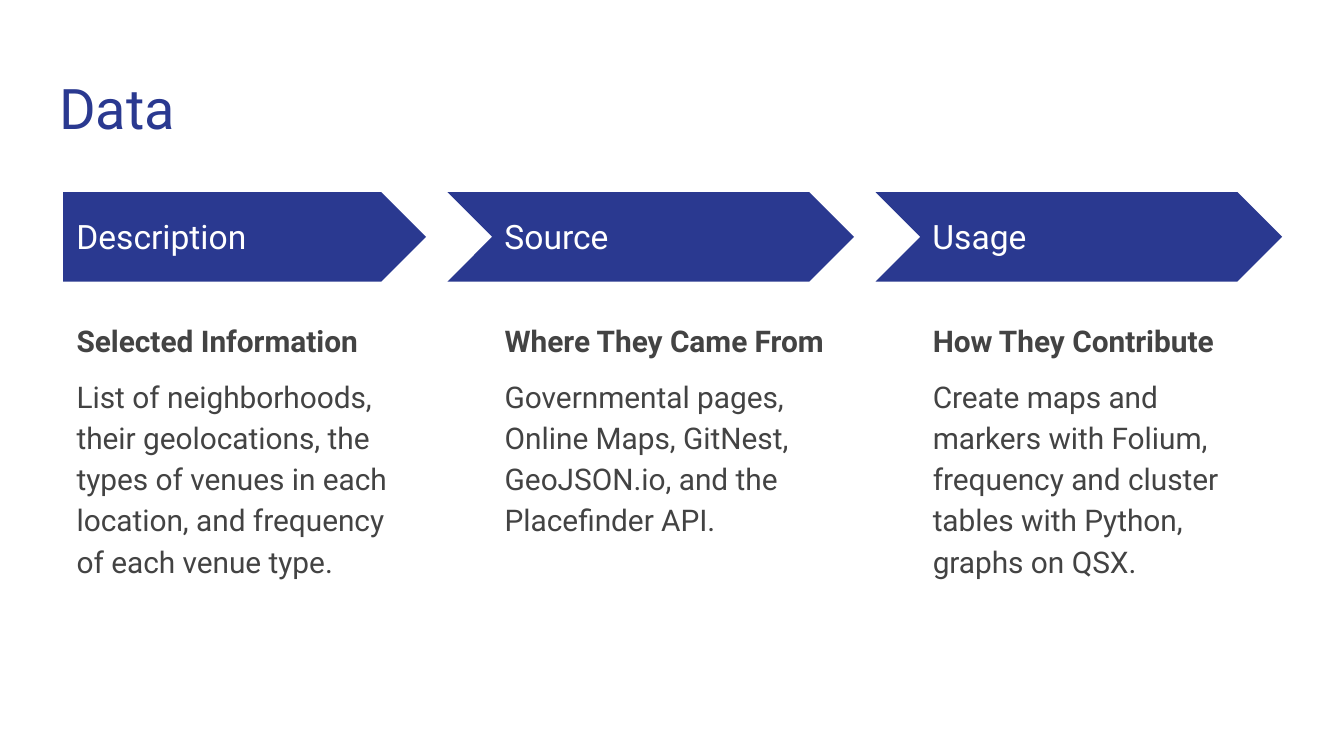
from pptx import Presentation
from pptx.dml.color import RGBColor
from pptx.enum.shapes import MSO_SHAPE
from pptx.enum.text import MSO_ANCHOR, MSO_AUTO_SIZE, PP_ALIGN
from pptx.oxml.ns import qn
from pptx.util import Pt

PX = 4572  # 200 px to the inch
SLIDE_WIDTH, SLIDE_HEIGHT = 2000, 1125
PENTAGON, CHEVRON = MSO_SHAPE.PENTAGON, MSO_SHAPE.CHEVRON
TOP, MIDDLE = MSO_ANCHOR.TOP, MSO_ANCHOR.MIDDLE
LEFT = PP_ALIGN.LEFT
NO_AUTOFIT = MSO_AUTO_SIZE.NONE

NAVY = RGBColor(0x2A, 0x39, 0x90)
GRAY = RGBColor(0x43, 0x43, 0x43)
WHITE = RGBColor(0xFF, 0xFF, 0xFF)
FONT = "Roboto"

COMPARISON_LAYOUT = 4
COLUMN_LEFT, COLUMN_TOP, COLUMN_WIDTH, COLUMN_PITCH = 94, 286, 540, 637
ARROW_HEIGHT, CHEVRON_NOTCH = 133, 65
MARGIN = 20

COLUMNS = [
    ("Description", "Selected Information",
     "List of neighborhoods, their geolocations, the types of venues in each "
     "location, and frequency of each venue type."),
    ("Source", "Where They Came From",
     "Governmental pages, Online Maps, GitNest, GeoJSON.io, and the "
     "Placefinder API."),
    ("Usage", "How They Contribute",
     "Create maps and markers with Folium, frequency and cluster tables with "
     "Python, graphs on QSX."),
]


def place(shape, left, top, width, height):
    shape.left, shape.top = left * PX, top * PX
    shape.width, shape.height = width * PX, height * PX


def write(shape, lines, size, color, anchor=TOP):
    """Fill a shape with plain left-aligned paragraphs, without bullets."""
    frame = shape.text_frame
    frame.text = "\n".join(lines)
    frame.word_wrap = True
    frame.auto_size = NO_AUTOFIT
    frame.vertical_anchor = anchor
    frame.margin_left = frame.margin_right = MARGIN * PX
    frame.margin_top = frame.margin_bottom = MARGIN * PX
    for paragraph in frame.paragraphs:
        paragraph.alignment = LEFT
        paragraph.space_before = paragraph.space_after = Pt(0)
        properties = paragraph._p.get_or_add_pPr()
        properties.set("marL", "0")
        properties.set("indent", "0")
        properties.append(properties.makeelement(qn("a:buNone"), {}))
        for run in paragraph.runs:
            run.font.name = FONT
            run.font.size = Pt(size)
            run.font.color.rgb = color
            run.font.bold = False
    return frame.paragraphs


def add_title(slide, text, left, top, width, height):
    place(slide.shapes.title, left, top, width, height)
    write(slide.shapes.title, [text], 30, NAVY)


def add_arrow(slide, kind, left, top, width, height):
    arrow = slide.shapes.add_shape(
        kind, left * PX, top * PX, width * PX, height * PX)
    arrow.adjustments[0] = 0.5
    arrow.shadow.inherit = False
    arrow.fill.solid()
    arrow.fill.fore_color.rgb = NAVY
    arrow.line.fill.background()


def add_column(slide, body, content, kind, left, top, width):
    label, heading, details = content
    notch = CHEVRON_NOTCH if kind == CHEVRON else 0
    add_arrow(slide, kind, left - notch, top, width + notch, ARROW_HEIGHT)

    label_box = slide.shapes.add_textbox(0, 0, 0, 0)
    place(label_box, left, top + 32, 494, 68)
    write(label_box, [label], 18, WHITE, MIDDLE)

    place(body, left, top + 166, width, 580)
    paragraphs = write(body, [heading, details], 16, GRAY)
    for paragraph in paragraphs:
        paragraph.line_spacing = 1.15
    paragraphs[0].runs[0].font.bold = True
    paragraphs[1].space_before = paragraphs[1].space_after = Pt(8)


def main():
    presentation = Presentation()
    presentation.slide_width = SLIDE_WIDTH * PX
    presentation.slide_height = SLIDE_HEIGHT * PX
    slide = presentation.slides.add_slide(
        presentation.slide_layouts[COMPARISON_LAYOUT])
    bodies = list(slide.placeholders)[1:]

    add_title(slide, "Data", 68, 90, 1864, 132)
    for index, (body, content) in enumerate(zip(bodies, COLUMNS)):
        kind = CHEVRON if index else PENTAGON
        add_column(slide, body, content, kind,
                   COLUMN_LEFT + index * COLUMN_PITCH, COLUMN_TOP, COLUMN_WIDTH)

    for spare in bodies[len(COLUMNS):]:
        spare.element.getparent().remove(spare.element)
    presentation.save("out.pptx")


if __name__ == "__main__":
    main()
